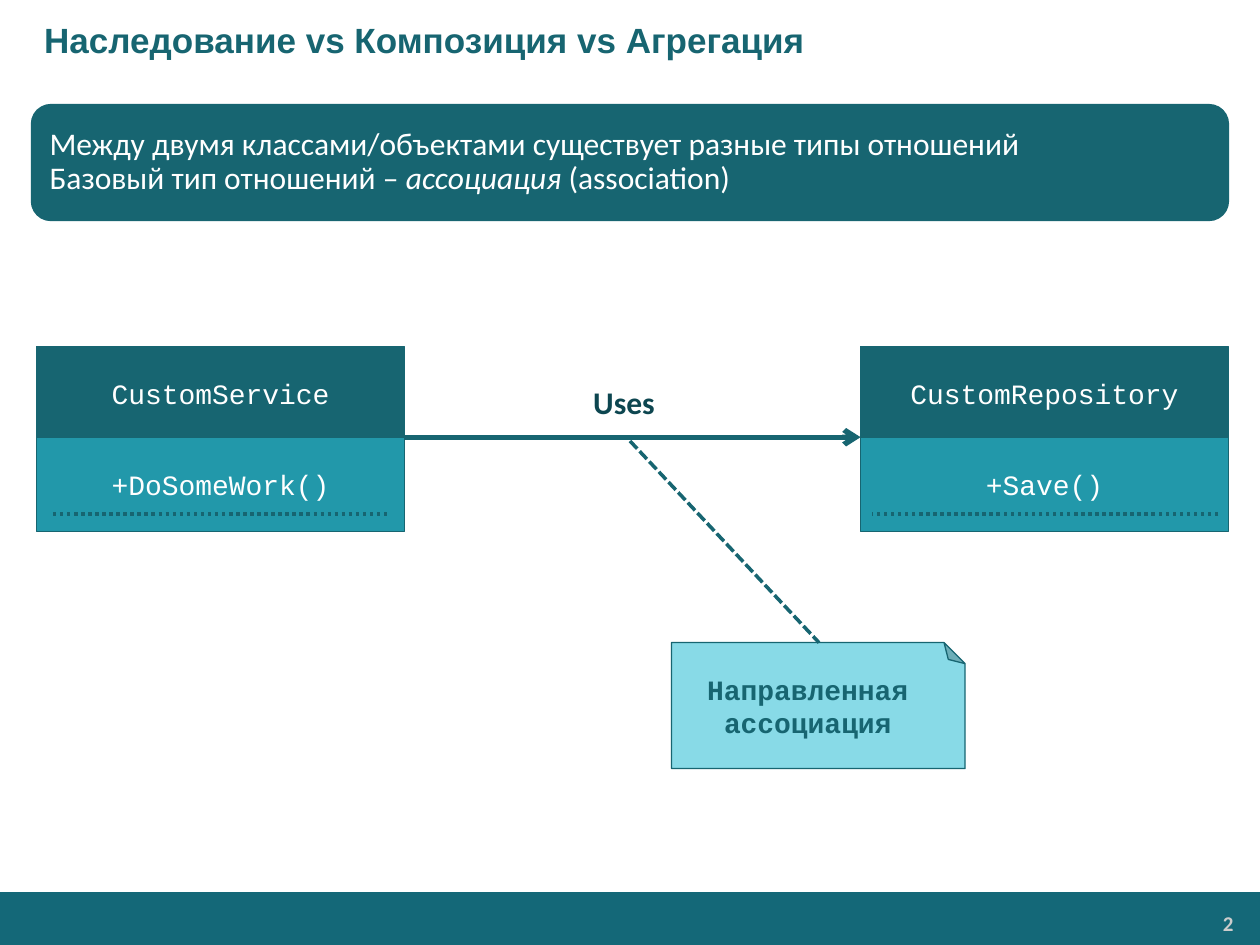
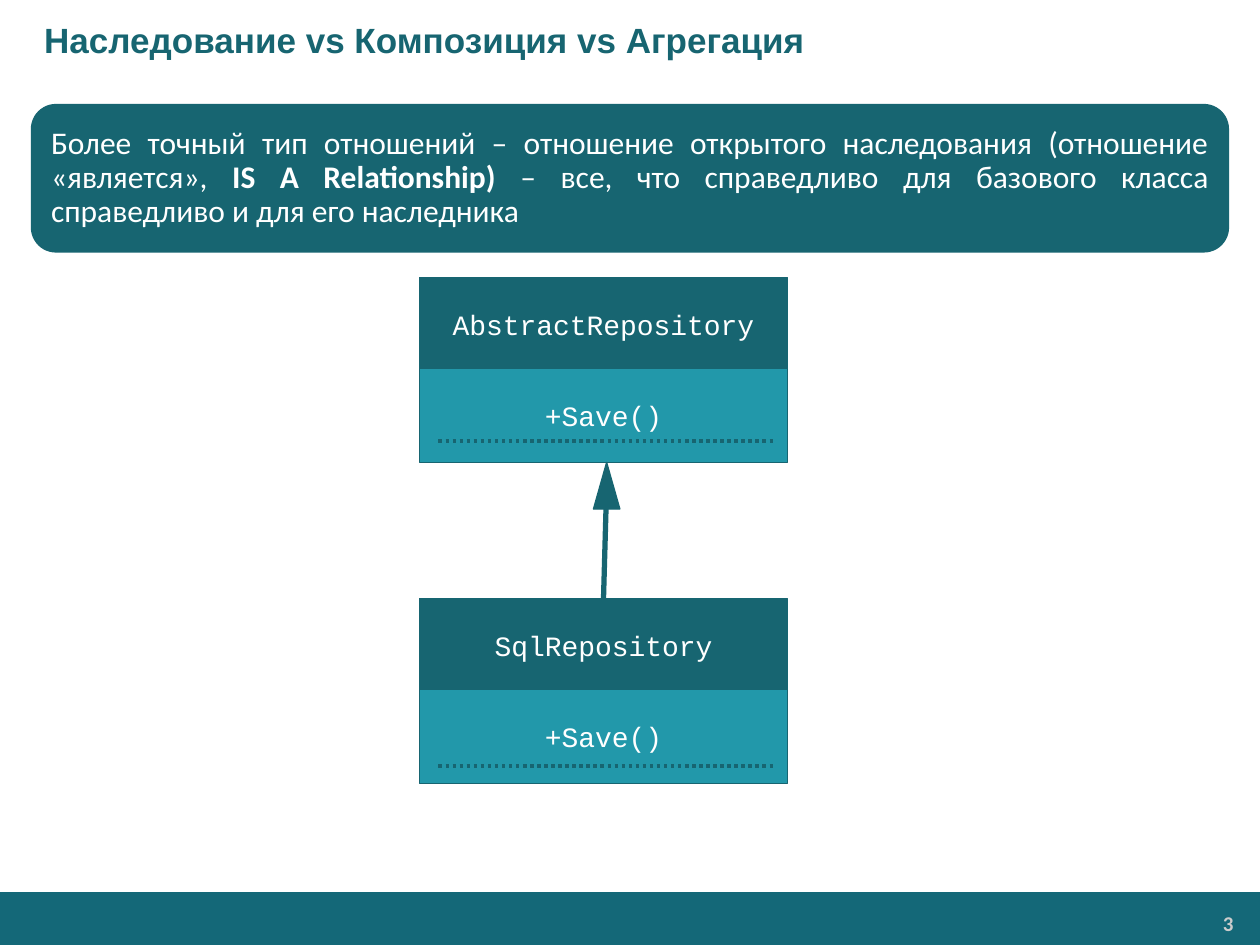
from lxml.etree import SubElement
from pptx import Presentation
from pptx.dml.color import RGBColor
from pptx.enum.dml import MSO_LINE
from pptx.enum.shapes import MSO_CONNECTOR, MSO_SHAPE
from pptx.enum.text import MSO_ANCHOR, MSO_AUTO_SIZE, PP_ALIGN
from pptx.oxml.ns import qn
from pptx.util import Inches, Pt

TEAL = RGBColor(0x17, 0x65, 0x71)
BAND = RGBColor(0x14, 0x68, 0x78)
TURQUOISE = RGBColor(0x22, 0x98, 0xAA)
PALE = RGBColor(0x88, 0xDA, 0xE7)
DARK = RGBColor(0x0D, 0x46, 0x50)
GREY = RGBColor(0xCC, 0xCC, 0xCC)
WHITE = RGBColor(0xFF, 0xFF, 0xFF)

TITLE = "Наследование vs Композиция vs Агрегация"
CLASS_WIDTH = 2.92
CELL_HEIGHT = 0.75
METHOD_OFFSET = 0.72


def set_font(para, name, size, color, bold=False):
    font = para.font
    font.name, font.size, font.bold = name, Pt(size), bold
    font.color.rgb = color


def add_box(page, kind, left, top, width, height, fill, outline=TEAL):
    box = page.shapes.add_shape(kind, Inches(left), Inches(top), Inches(width), Inches(height))
    box.shadow.inherit = False
    box.fill.solid()
    box.fill.fore_color.rgb = fill
    if outline is None:
        box.line.fill.background()
    else:
        box.line.color.rgb = outline
        box.line.width = Pt(0.75)
    box.text_frame.word_wrap = True
    box.text_frame.vertical_anchor = MSO_ANCHOR.MIDDLE
    return box


def write_code_label(box, text, color=WHITE, bold=False):
    para = box.text_frame.paragraphs[0]
    para.text = text
    para.alignment = PP_ALIGN.CENTER
    set_font(para, "Courier New", 16, color, bold)


def add_line(page, start, end, width, dash=None, arrow=False):
    ends = [Inches(value) for value in (*start, *end)]
    line = page.shapes.add_connector(MSO_CONNECTOR.STRAIGHT, *ends)
    line.line.color.rgb = TEAL
    line.line.width = Pt(width)
    if dash is not None:
        line.line.dash_style = dash
    properties = line._element.spPr
    if arrow:
        SubElement(properties.find(qn("a:ln")), qn("a:tailEnd"), type="arrow")
    SubElement(properties, qn("a:effectLst"))
    return line


def add_text(page, left, top, width, height, text, size, color):
    box = page.shapes.add_textbox(Inches(left), Inches(top), Inches(width), Inches(height))
    para = box.text_frame.paragraphs[0]
    para.text = text
    set_font(para, "Calibri", size, color, bold=True)
    return box


def add_page(deck, number):
    """Add a slide with the common title, bottom band and page number."""
    page = deck.slides.add_slide(deck.slide_layouts.get_by_name("Title Only"))
    add_box(page, MSO_SHAPE.RECTANGLE, 0, 7.08, 10, 0.42, BAND, outline=None)

    number_box = add_text(page, 8.23, 7.19, 1.63, 0.28, str(number), 12, GREY)
    frame = number_box.text_frame
    frame.word_wrap = True
    frame.margin_left = frame.margin_right = Inches(0.07)
    frame.margin_top = frame.margin_bottom = Inches(0.04)
    frame.paragraphs[0].alignment = PP_ALIGN.RIGHT

    title = page.shapes.title
    title.left, title.top, title.width, title.height = 0, 0, Inches(10), Inches(0.63)
    title.text_frame.text = TITLE
    title.text_frame.auto_size = MSO_AUTO_SIZE.NONE
    title.text_frame.vertical_anchor = MSO_ANCHOR.MIDDLE
    title.text_frame.margin_left = Inches(0.35)
    para = title.text_frame.paragraphs[0]
    para.alignment = PP_ALIGN.LEFT
    set_font(para, "Arial", 20, TEAL, bold=True)
    return page


def add_statement(page, height, paragraphs):
    """Add the rounded panel; each paragraph is a list of (text, style) with style "", "b" or "i"."""
    panel = add_box(page, MSO_SHAPE.ROUNDED_RECTANGLE, 0.25, 0.83, 9.5, height, TEAL)
    frame = panel.text_frame
    for index, spans in enumerate(paragraphs):
        para = frame.add_paragraph() if index else frame.paragraphs[0]
        para.alignment = PP_ALIGN.JUSTIFY
        para.line_spacing = 0.9
        set_font(para, "Calibri", 18, WHITE)
        for text, style in spans:
            span = para.add_run()
            span.text = text
            if style:
                span.font.bold = style == "b"
                span.font.italic = style == "i"


def add_class(page, left, top, name, method):
    """Add a class as a name cell over a method cell and return the name cell."""
    cells = []
    for text, offset, fill in ((name, 0, TEAL), (method, METHOD_OFFSET, TURQUOISE)):
        cell = add_box(page, MSO_SHAPE.RECTANGLE, left, top + offset,
                       CLASS_WIDTH, CELL_HEIGHT, fill)
        write_code_label(cell, text)
        cells.append(cell)
    return cells[0]


def add_dotted_rule(page, left, right, top):
    add_line(page, (left, top), (right, top), 2, MSO_LINE.ROUND_DOT)


def add_note(page, left, top, width, height, text):
    """Add a note whose folded corner is turned to the top right."""
    middle, center = left + width / 2, top + height / 2
    note = add_box(page, MSO_SHAPE.FOLDED_CORNER, middle - height / 2, center - width / 2,
                   height, width, PALE)
    note.rotation = 270
    note._element.txBody.find(qn("a:bodyPr")).set("vert", "vert")
    write_code_label(note, text, TEAL, bold=True)


def build_association(deck):
    page = add_page(deck, 2)
    add_statement(page, 0.92, [
        [("Между двумя классами/объектами существует разные типы отношений", "")],
        [("Базовый тип отношений – ", ""), ("ассоциация ", "i"), ("(association)", "")],
    ])
    service_left, repository_left, top = 0.29, 6.83, 2.75
    add_class(page, service_left, top, "CustomService", "+DoSomeWork()")
    add_class(page, repository_left, top, "CustomRepository", "+Save()")
    joint = top + METHOD_OFFSET
    add_line(page, (service_left + CLASS_WIDTH, joint), (repository_left, joint), 3, arrow=True)
    uses = add_text(page, 4.61, 2.99, 0.69, 0.4, "Uses", 18, DARK)
    uses.text_frame.word_wrap = False
    add_note(page, 5.33, 5.1, 2.33, 1, "Направленная ассоциация")
    add_line(page, (5, 3.5), (6.5, 5.1), 2, MSO_LINE.SQUARE_DOT)
    add_dotted_rule(page, 0.42, 3.08, 4.08)
    add_dotted_rule(page, 9.67, 6.92, 4.08)


def build_inheritance(deck):
    page = add_page(deck, 3)
    add_statement(page, 1.17, [[
        ("Более точный тип отношений – отношение открытого наследования "
         "(отношение «является», ", ""),
        ("IS A Relationship)", "b"),
        (" – все, что справедливо для базового класса справедливо и для его наследника", ""),
    ]])
    left = 3.33
    add_class(page, left, 2.2, "AbstractRepository", "+Save()")
    child = add_class(page, left, 4.75, "SqlRepository", "+Save()")
    add_box(page, MSO_SHAPE.ISOSCELES_TRIANGLE, 4.71, 3.67, 0.21, 0.37, TEAL)
    stem = add_line(page, (left + CLASS_WIDTH / 2, 4.75), (4.81, 4.03), 3)
    stem.begin_connect(child, 0)
    for rule_top in (3.5, 6.08):
        add_dotted_rule(page, 3.48, 6.15, rule_top)


def main():
    deck = Presentation()
    deck.slide_width, deck.slide_height = Inches(10), Inches(7.5)
    build_association(deck)
    build_inheritance(deck)
    deck.save("out.pptx")


if __name__ == "__main__":
    main()
